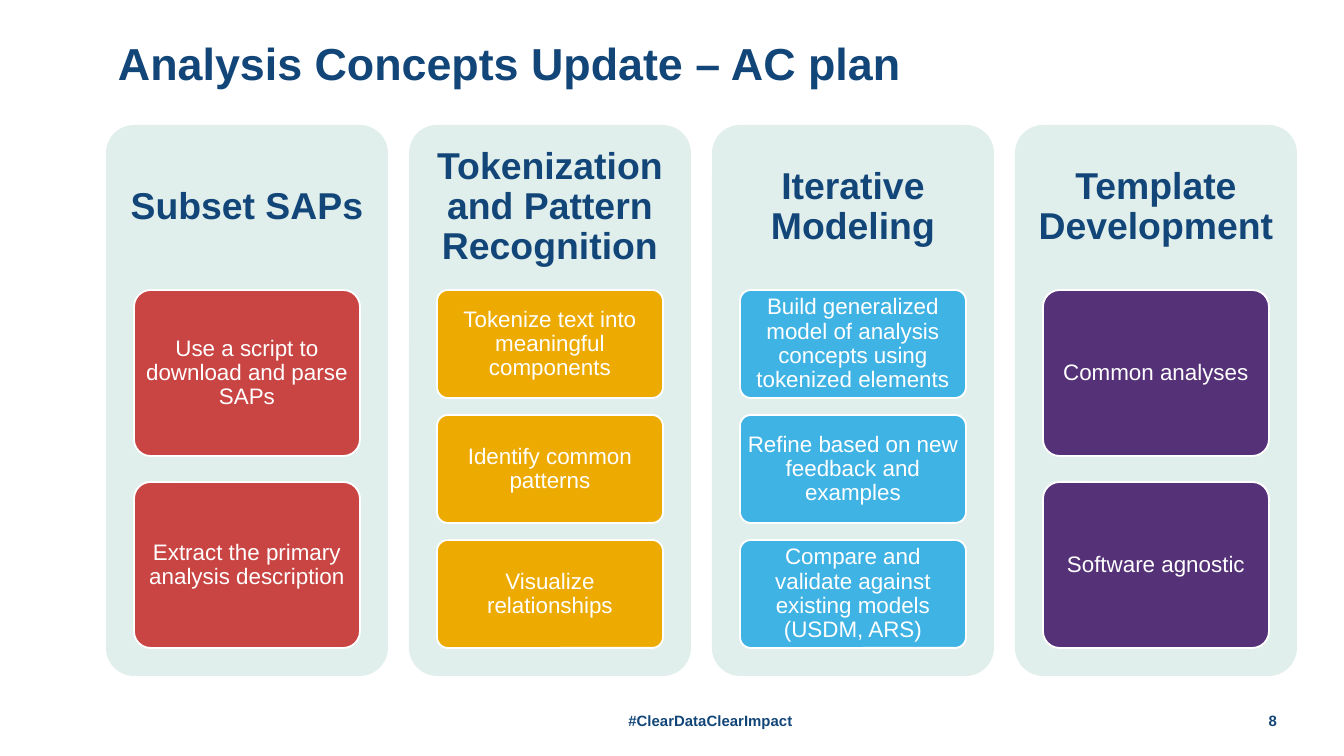
from dataclasses import dataclass

from pptx import Presentation
from pptx.dml.color import RGBColor
from pptx.enum.shapes import MSO_SHAPE
from pptx.enum.text import MSO_ANCHOR, MSO_AUTO_SIZE, PP_ALIGN
from pptx.util import Pt

EMU_PER_PX = 914400 / 134.4
SLIDE_WIDTH, SLIDE_HEIGHT = 1344, 756
PANEL_LEFT, PANEL_TOP, PANEL_WIDTH, PANEL_HEIGHT = 106, 125, 282, 551
PANEL_PITCH = 303
HEADING_HEIGHT = 165
CARD_INDENT, CARD_WIDTH = 28, 226
STACK_TOP, STACK_HEIGHT = 290, 358
GAP_RATIO = 2 / 13  # gap between cards, relative to card height


@dataclass(frozen=True)
class Theme:
    font: str = "Arial"
    navy: str = "134678"
    white: str = "FFFFFF"
    panel: str = "E0EEEC"
    red: str = "C94543"
    amber: str = "EDAA00"
    blue: str = "40B3E5"
    purple: str = "553278"
    title_size: int = 24
    heading_size: int = 20
    card_size: int = 12
    footer_size: int = 8


THEME = Theme()

COLUMNS = [
    ("Subset SAPs", THEME.red, [
        "Use a script to download and parse SAPs",
        "Extract the primary analysis description",
    ]),
    ("Tokenization and Pattern Recognition", THEME.amber, [
        "Tokenize text into meaningful components",
        "Identify common patterns",
        "Visualize relationships",
    ]),
    ("Iterative Modeling", THEME.blue, [
        "Build generalized model of analysis concepts using tokenized elements",
        "Refine based on new feedback and examples",
        "Compare and validate against existing models (USDM, ARS)",
    ]),
    ("Template Development", THEME.purple, [
        "Common analyses",
        "Software agnostic",
    ]),
]


def px(length):
    return round(length * EMU_PER_PX)


def set_all(target, values):
    for name, value in values.items():
        setattr(target, name, value)


class SlideBuilder:
    def __init__(self, slide, theme):
        self.slide = slide
        self.theme = theme

    def fill_text(self, shape, text, size, color=None, bold=False,
                  align=PP_ALIGN.CENTER, spacing=0.9, inset=0):
        frame = shape.text_frame
        frame.text = text
        set_all(frame, {
            "word_wrap": True,
            "auto_size": MSO_AUTO_SIZE.NONE,
            "vertical_anchor": MSO_ANCHOR.MIDDLE,
            **{f"margin_{side}": px(inset)
               for side in ("left", "top", "right", "bottom")},
        })
        para = frame.paragraphs[0]
        set_all(para, {"alignment": align, "line_spacing": spacing})
        span = para.runs[0]
        set_all(span.font, {"name": self.theme.font, "size": Pt(size), "bold": bold})
        span.font.color.rgb = RGBColor.from_string(color or self.theme.navy)

    def title(self, text, left, top, width, height):
        shape = self.slide.shapes.title
        set_all(shape, {"left": px(left), "top": px(top),
                        "width": px(width), "height": px(height)})
        self.fill_text(shape, text, self.theme.title_size, bold=True,
                       align=PP_ALIGN.LEFT)

    def label(self, text, left, top, width, height, size, **style):
        box = self.slide.shapes.add_textbox(*map(px, (left, top, width, height)))
        self.fill_text(box, text, size, bold=True, **style)

    def rounded_box(self, left, top, width, height, fill):
        box = self.slide.shapes.add_shape(
            MSO_SHAPE.ROUNDED_RECTANGLE, *map(px, (left, top, width, height)))
        box.adjustments[0] = 0.1
        box.shadow.inherit = False
        box.fill.solid()
        box.fill.fore_color.rgb = RGBColor.from_string(fill)
        box.line.fill.background()
        return box

    def card(self, text, left, top, width, height, fill):
        box = self.rounded_box(left, top, width, height, fill)
        box.line.color.rgb = RGBColor.from_string(self.theme.white)
        box.line.width = Pt(1)
        self.fill_text(box, text, self.theme.card_size, self.theme.white, inset=4)

    def column(self, left, heading, color, items):
        """Draw a panel whose cards share the stack height evenly."""
        self.rounded_box(left, PANEL_TOP, PANEL_WIDTH, PANEL_HEIGHT, self.theme.panel)
        self.label(heading, left, PANEL_TOP, PANEL_WIDTH, HEADING_HEIGHT,
                   self.theme.heading_size, inset=10)
        count = len(items)
        height = STACK_HEIGHT / (count + (count - 1) * GAP_RATIO)
        pitch = height * (1 + GAP_RATIO)
        for row, item in enumerate(items):
            self.card(item, left + CARD_INDENT, round(STACK_TOP + row * pitch),
                      CARD_WIDTH, round(height), color)


def main():
    deck = Presentation()
    set_all(deck, {"slide_width": px(SLIDE_WIDTH), "slide_height": px(SLIDE_HEIGHT)})
    page = SlideBuilder(deck.slides.add_slide(deck.slide_layouts[5]), THEME)

    page.title("Analysis Concepts Update – AC plan", 118, -7, 1159, 146)
    for index, (heading, color, items) in enumerate(COLUMNS):
        page.column(PANEL_LEFT + index * PANEL_PITCH, heading, color, items)

    page.label("8", 1232, 700, 45, 41, THEME.footer_size,
               align=PP_ALIGN.RIGHT, spacing=1.0)
    page.label("#ClearDataClearImpact", 367, 700, 687, 41, THEME.footer_size,
               spacing=1.0)
    deck.save("out.pptx")


if __name__ == "__main__":
    main()
